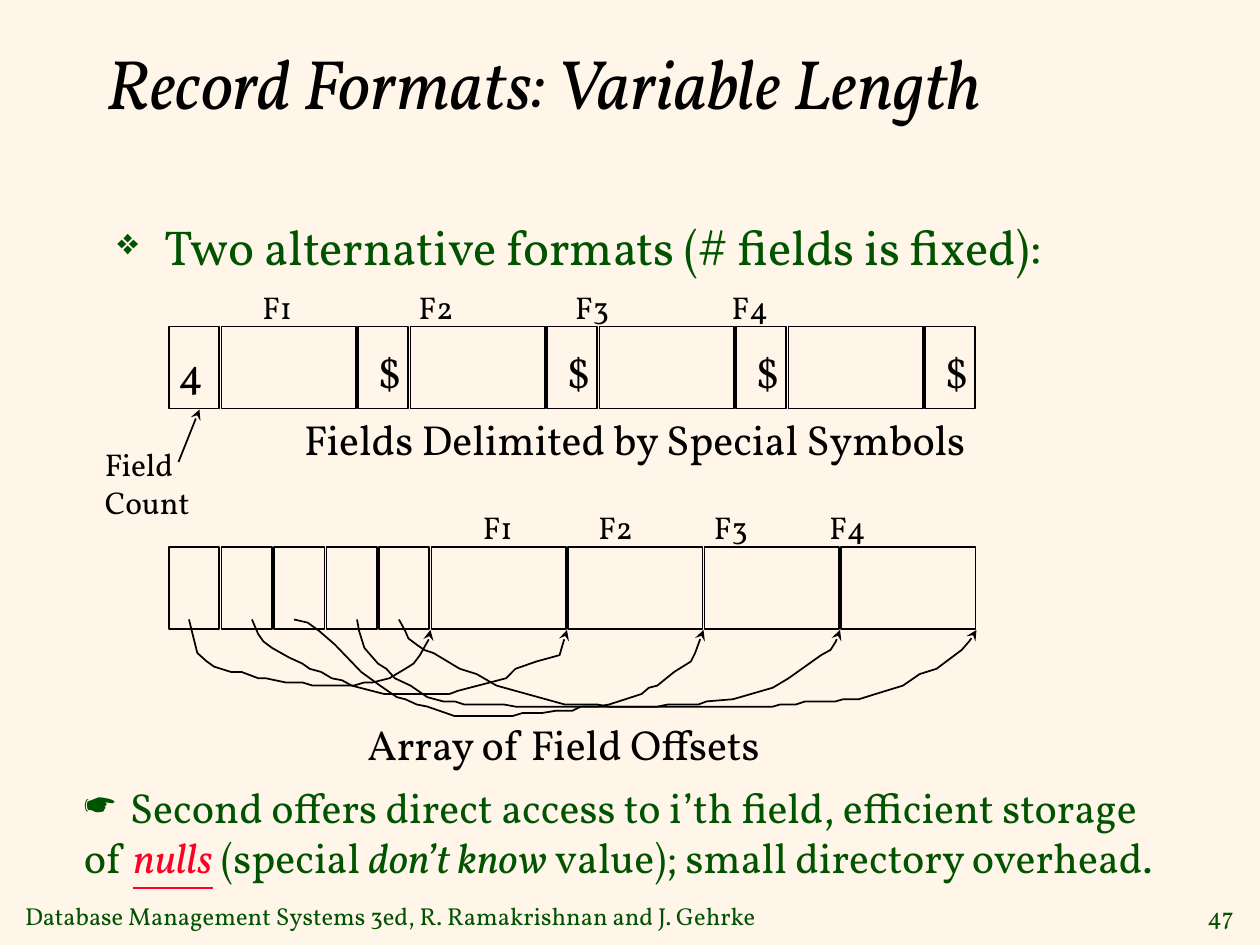
"""Build the slide on variable length record formats, on a grid of 120 by 90 cells."""
from dataclasses import dataclass, field
from itertools import accumulate
from typing import Any

from lxml import etree
from pptx import Presentation
from pptx.dml.color import RGBColor
from pptx.enum.shapes import MSO_CONNECTOR, MSO_SHAPE
from pptx.enum.text import MSO_ANCHOR, MSO_AUTO_SIZE, PP_ALIGN
from pptx.oxml.ns import qn
from pptx.util import Inches, Pt

LINE, RECT = MSO_CONNECTOR.STRAIGHT, MSO_SHAPE.RECTANGLE
TOP, MID = MSO_ANCHOR.TOP, MSO_ANCHOR.MIDDLE
GROW, FIXED = MSO_AUTO_SIZE.SHAPE_TO_FIT_TEXT, MSO_AUTO_SIZE.NONE
LEFT, RIGHT = PP_ALIGN.LEFT, PP_ALIGN.RIGHT
HUES = {"page": "FFF6E9", "ink": "000000", "green": "005400", "red": "FC0128"}
FONT = "Vollkorn"
CELL = Inches(1) / 12
WIDE, THIN, GAP, HIGH = 13, 5, 0.2, 7.8
EDGE = 16.1
ITAL = {"italic": True}
LINK = {"italic": True, "underline": True}


@dataclass
class Run:
    """A stretch of text in one format."""
    text: str
    hue: str = "ink"
    style: dict[str, Any] = field(default_factory=dict)


@dataclass
class Para:
    """A paragraph with optional bullet and tab step."""
    runs: list[Run]
    mark: str = ""
    hang: float = 0
    ratio: int = 100
    step: float = 0


@dataclass
class Label:
    """A text box placed on the grid."""
    box: tuple[float, float, float, float]
    size: int
    paras: list[Para]
    anchor: Any = TOP
    align: Any = LEFT
    wrap: bool = False


@dataclass
class Record:
    """A row of cells, T for thin and W for wide."""
    row: float
    cells: str


def say(text: str, hue: str = "ink", **style: Any) -> Para:
    """Return a paragraph of one run."""
    return Para([Run(text, hue, style)])


def cells(*spans: float) -> list[int]:
    """Turn grid cells into slide lengths."""
    return [round(span * CELL) for span in spans]


def shade(hue: str) -> RGBColor:
    """Return a named colour."""
    return RGBColor.from_string(HUES[hue])


def add_mark(para: Any, item: Para) -> None:
    """Set bullet, hanging indent and tab stops."""
    props = para._p.get_or_add_pPr()
    if item.mark:
        hang = cells(item.hang)[0]
        props.set("marL", str(hang))
        props.set("indent", str(-hang))
        tint = etree.SubElement(props, qn("a:buClr"))
        etree.SubElement(tint, qn("a:srgbClr"), val=HUES["green"])
        etree.SubElement(props, qn("a:buSzPct"), val=str(item.ratio * 1000))
        etree.SubElement(props, qn("a:buChar"), char=item.mark)
    if item.step:
        tabs = etree.SubElement(props, qn("a:tabLst"))
        for stop in range(1, 4):
            etree.SubElement(tabs, qn("a:tab"), pos=str(cells(stop * item.step)[0]), algn="l")


def add_label(shapes: Any, label: Label) -> None:
    """Draw one text box."""
    frame = shapes.add_textbox(*cells(*label.box)).text_frame
    look = {"word_wrap": label.wrap, "vertical_anchor": label.anchor,
            "auto_size": FIXED if label.wrap else GROW}
    for name, value in look.items():
        setattr(frame, name, value)
    for spot, item in enumerate(label.paras):
        para = frame.add_paragraph() if spot else frame.paragraphs[0]
        para.alignment = label.align
        add_mark(para, item)
        for part in item.runs:
            run = para.add_run()
            run.text = part.text
            run.font.color.rgb = shade(part.hue)
            for name, value in {"name": FONT, "size": Pt(label.size), **part.style}.items():
                setattr(run.font, name, value)


def ink(shape: Any, head: bool = False) -> None:
    """Give a shape a thin black line and maybe an arrowhead."""
    shape.line.color.rgb = shade("ink")
    shape.line.width = Pt(1)
    if head:
        etree.SubElement(shape.line._get_or_add_ln(), qn("a:tailEnd"), type="stealth")


def add_record(shapes: Any, record: Record) -> None:
    """Draw a row of boxes side by side."""
    spans = [WIDE if kind == "W" else THIN for kind in record.cells]
    for left, span in zip(accumulate(spans, initial=EDGE), spans):
        box = shapes.add_shape(RECT, *cells(left, record.row, span - GAP, HIGH))
        box.shadow.inherit = False
        box.fill.background()
        ink(box)


def add_curve(shapes: Any, trail: str) -> None:
    """Draw an arrow along x,y pairs."""
    dots = [cells(*map(float, pair.split(","))) for pair in trail.split()]
    pen = shapes.build_freeform(*dots[0])
    pen.add_line_segments(dots[1:], close=False)
    curve = pen.convert_to_shape()
    curve.shadow.inherit = False
    curve.fill.background()
    ink(curve, True)


def add_arrow(shapes: Any, start: tuple[float, float], end: tuple[float, float]) -> None:
    """Draw a straight arrow."""
    arrow = shapes.add_connector(LINE, *cells(*start, *end))
    ink(arrow, True)
    etree.SubElement(arrow._element.spPr, qn("a:effectLst"))


NAMES = "F1\tF2\tF3\tF4"
LABELS = [
    Label((1.2, 85.2, 73.6, 4), 14, [say(
        "Database Management Systems 3ed, R. Ramakrishnan and J. Gehrke", "green")], MID),
    Label((113.4, 85.2, 5.3, 4), 14, [say("47", "green")], MID, RIGHT),
    Label((9, 0.5, 102, 14.5), 40, [say("Record Formats: Variable Length", **ITAL)], MID, wrap=True),
    Label((10, 20, 99, 9), 28, [Para(
        [Run("Two alternative formats (# fields is fixed):", "green")], "❖", 4.5, 75)], wrap=True),
    Label((6.8, 73.8, 109.1, 10.8), 24, [
        Para([Run("Second offers direct access to i’th field, efficient storage", "green")], "☛", 4.4),
        Para([Run("of ", "green"), Run("nulls", "red", LINK), Run(" (special ", "green"),
              Run("don’t know ", "green", ITAL),
              Run("value); small directory overhead.", "green")])]),
    Label((15.8, 32.4, 4.3, 6), 24, [say("4")]),
    *[Label((34.8 + (WIDE + THIN) * spot, 32.4, 4.3, 6), 24, [say("$")]) for spot in range(4)],
    Label((8.8, 41.8, 10.7, 8.4), 18, [say("Field"), say("Count")]),
    Label((27.8, 38.8, 66.7, 6), 24, [say("Fields Delimited by Special Symbols")]),
    Label((23.8, 26.8, 59.3, 4.8), 18, [Para([Run(NAMES)], step=14.9)]),
    Label((44.8, 47.8, 44.3, 4.8), 18, [Para([Run(NAMES)], step=11)]),
    Label((33.8, 67.8, 40.7, 6), 24, [say("Array of Field Offsets")]),
]
RECORDS = [Record(31.1, "TWTWTWTWT"), Record(52.1, "TTTTTWWWW")]
CURVES = [
    "18,59 18.6,61.4 18.8,62.2 19.7,63 20.4,63.5 22,64 23,64 24.6,64.6 25.3,64.6 27.2,65 28.8,65 "
    "29.8,65.3 33.7,65.3 34.7,65 35.5,65 37.1,64.6 38.6,63.7 39.4,63.2 40,62.4 40.9,60.8 41,60",
    "24,59 24.6,60.4 25.1,61.1 25.9,61.7 27.5,62.6 28.8,63.2 29.5,63.7 30.6,64 31.6,64.6 32.6,64.8 "
    "33.5,65.3 36.6,66.1 42.8,66.1 43.6,65.8 48.2,64.6 49.1,63.7 51.1,63 53.3,62.4 53.5,61.7 54,60",
    "28,59 29.3,59.3 30.4,60.1 31.9,61.4 34.4,64 36.2,65.3 37.8,66.4 38.6,66.6 39.7,67.1 40.7,67.3 "
    "43.3,68.2 48.8,68.2 49.8,67.9 51.7,67.9 52.9,67.7 54.5,67.7 55.3,67.3 56.9,67.3 58,67.1 "
    "61.1,66.1 61.8,65.5 62.6,65.3 64.2,64 65.8,63 66.2,62.2 67,60",
    "34,59 34.2,60.1 34.7,61.7 35.3,62.4 36,63.2 36.8,63.7 37.6,64.6 39.1,65.3 40.7,66.4 42.2,66.8 "
    "43.3,66.8 44.2,67.1 48,67.1 49.1,67.3 62.6,67.3 63.6,67.1 66.5,67.1 67.3,66.8 69.8,66.6 "
    "73.6,65.5 75.1,64.6 78.2,62.4 79.1,61.9 79.6,61.1 80,60",
    "38,59 38.6,60.1 38.9,60.8 39.7,61.4 40.4,61.9 41.3,62.2 43.8,63.7 45.4,64.2 47.3,65.3 53.8,67.1 "
    "56.9,67.1 58,67.3 73.6,67.3 74.3,67.1 75.8,67.1 76.7,66.8 79.6,66.8 80.3,66.6 81.8,66.6 "
    "83.4,66.1 86,65.3 87.6,64.2 89.2,63.7 91.6,61.9 92.3,61.1 92.8,60.4 93,60",
]


def main() -> None:
    """Build and save the slide."""
    deck = Presentation()
    deck.slide_width, deck.slide_height = cells(120, 90)
    slide = deck.slides.add_slide(deck.slide_layouts[6])
    slide.background.fill.solid()
    slide.background.fill.fore_color.rgb = shade("page")
    for draw, items in ((add_record, RECORDS), (add_curve, CURVES), (add_label, LABELS)):
        for item in items:
            draw(slide.shapes, item)
    add_arrow(slide.shapes, (17, 44), (19, 39))
    deck.save("out.pptx")


if __name__ == "__main__":
    main()
